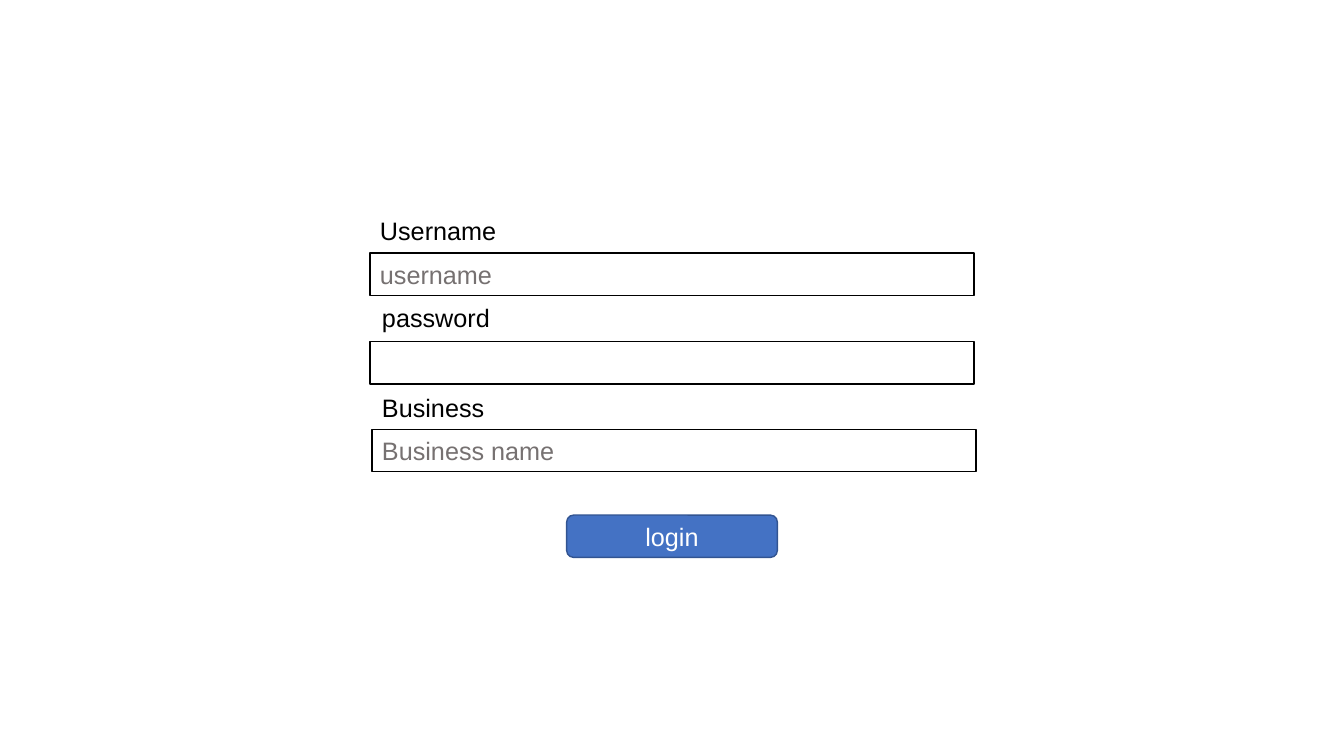
import dataclasses

import pptx
import pptx.dml.color
import pptx.enum.shapes
import pptx.enum.text
import pptx.util

PX = 9144
SHAPES = pptx.enum.shapes.MSO_SHAPE
ALIGN = pptx.enum.text.PP_ALIGN


@dataclasses.dataclass(frozen=True)
class Theme:
    """Colours and type of the login form."""
    font: str = "Arial"
    size: int = 18
    line: int = 1
    paper: str = "FFFFFF"
    ink: str = "000000"
    hint: str = "767171"
    button: str = "4472C4"
    button_edge: str = "325491"


THEME = Theme()


def rgb(value):
    """Return the colour for a hex value."""
    return pptx.dml.color.RGBColor.from_string(value)


def px(*lengths):
    """Turn px into EMU."""
    return [pptx.util.Emu(length * PX) for length in lengths]


def write(frame, wording, color, align=ALIGN.LEFT):
    """Put one line of wording in a text frame."""
    frame.word_wrap = True
    line = frame.paragraphs[0]
    line.text = wording
    line.alignment = align
    line.font.name = THEME.font
    line.font.size = pptx.util.Pt(THEME.size)
    line.font.color.rgb = rgb(color)


def add_box(slide, preset, box, fill, edge):
    """Add an outlined box and return its text frame."""
    control = slide.shapes.add_shape(preset, *px(*box))
    control.shadow.inherit = False
    control.fill.solid()
    control.fill.fore_color.rgb = rgb(fill)
    control.line.color.rgb = rgb(edge)
    control.line.width = pptx.util.Pt(THEME.line)
    control.text_frame.vertical_anchor = pptx.enum.text.MSO_ANCHOR.MIDDLE
    return control.text_frame


def add_field(slide, box, label, hint, label_shift, entry_shift, entry_drop):
    """Add a label with its entry box below."""
    left, top, width, height = box
    entry_box = (left + entry_shift, top + entry_drop, width, height)
    entry = add_box(slide, SHAPES.RECTANGLE, entry_box, THEME.paper, THEME.ink)
    if hint:
        write(entry, hint, THEME.hint)
    caption = slide.shapes.add_textbox(*px(left + label_shift, top, 318, 40))
    write(caption.text_frame, label, THEME.ink)


def add_button(slide, box, wording):
    """Add the rounded button."""
    button = add_box(slide, SHAPES.ROUNDED_RECTANGLE, box, THEME.button, THEME.button_edge)
    write(button, wording, THEME.paper, ALIGN.CENTER)


def add_login_form(slide, box):
    """Place the three fields and the button in the given box."""
    left, top, width, height = box
    row_height, button_width = 42, 209
    fields = [
        (0, "Username", "username", 0, 0, 42),
        (86, "password", "", 2, 0, 44),
        (175, "Business", "Business name", 2, 2, 42),
    ]
    for drop, *field in fields:
        add_field(slide, (left, top + drop, width, row_height), *field)
    button_left = left + (width - button_width) // 2
    button_top = top + height - row_height
    add_button(slide, (button_left, button_top, button_width, row_height), "login")


def main():
    """Build and save the slide."""
    deck = pptx.Presentation()
    deck.slide_width, deck.slide_height = px(1333, 750)
    slide = deck.slides.add_slide(deck.slide_layouts[6])
    add_login_form(slide, (367, 209, 599, 344))
    deck.save("out.pptx")


if __name__ == "__main__":
    main()
